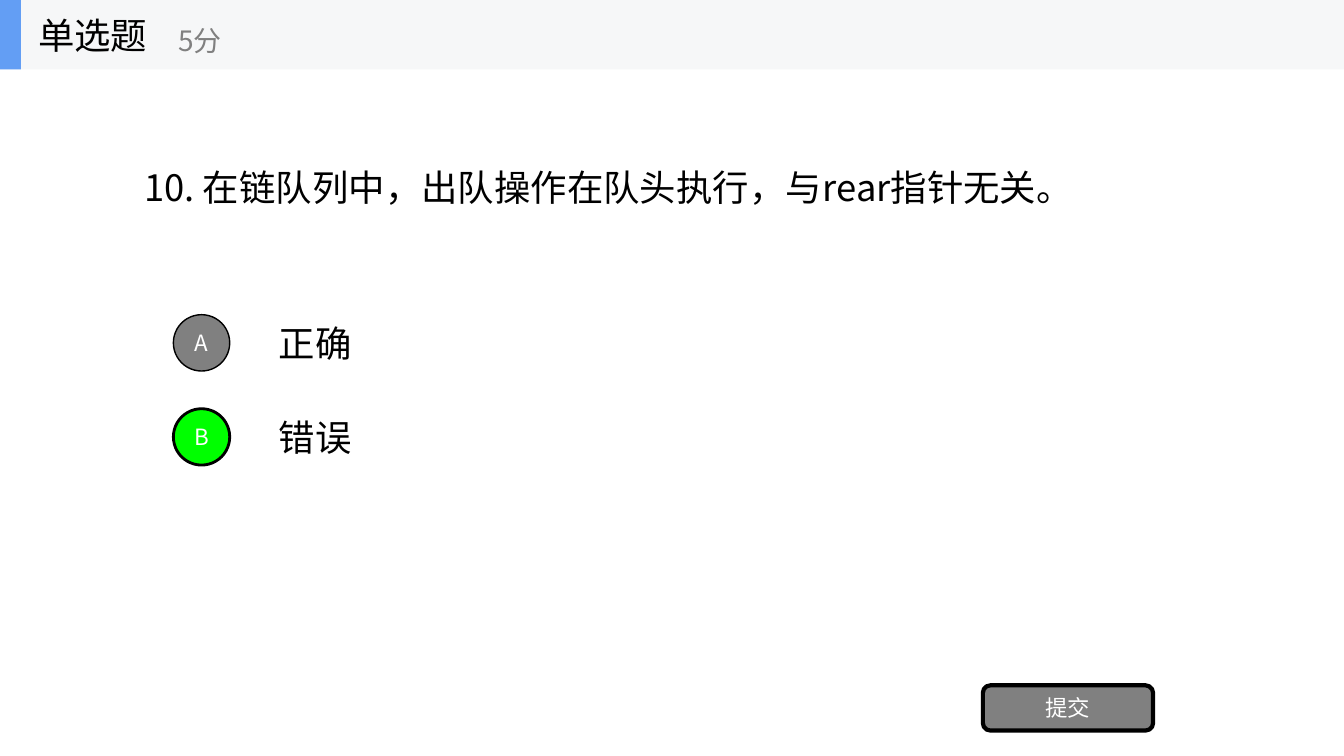
import pptx
import pptx.dml.color
import pptx.enum.shapes
import pptx.enum.text
import pptx.oxml.ns
import pptx.util
from lxml import etree

Cm = pptx.util.Cm
Pt = pptx.util.Pt
Shapes = pptx.enum.shapes.MSO_SHAPE
Align = pptx.enum.text.PP_ALIGN

BLACK, WHITE, GRAY = "000000", "FFFFFF", "808080"
GREEN, BLUE, PALE = "00FF00", "639EF4", "F6F7F8"


def color(hex_value):
    return pptx.dml.color.RGBColor.from_string(hex_value)


class QuizSlide:
    font_name = "Noto Sans CJK SC"

    def __init__(self, presentation):
        self.slide = presentation.slides.add_slide(presentation.slide_layouts[5])

    def set_text(self, shape, text, size, text_color, align=Align.LEFT):
        frame = shape.text_frame
        frame.text = text
        frame.word_wrap = True
        frame.auto_size = pptx.enum.text.MSO_AUTO_SIZE.NONE
        frame.vertical_anchor = pptx.enum.text.MSO_ANCHOR.MIDDLE
        paragraph = frame.paragraphs[0]
        paragraph.alignment = align
        for run in paragraph.runs:
            run.font.size = Pt(size)
            run.font.color.rgb = color(text_color)
            run.font.name = self.font_name
            properties = run._r.get_or_add_rPr()
            east_asian = etree.SubElement(properties, pptx.oxml.ns.qn("a:ea"))
            east_asian.set("typeface", self.font_name)

    def title(self, text, left, top, width, height, size=26):
        title = self.slide.shapes.title
        title.left, title.top = Cm(left), Cm(top)
        title.width, title.height = Cm(width), Cm(height)
        self.set_text(title, text, size, BLACK)

    def label(self, text, left, top, width, height, size=26, text_color=BLACK):
        box = self.slide.shapes.add_textbox(Cm(left), Cm(top), Cm(width), Cm(height))
        self.set_text(box, text, size, text_color)

    def block(self, kind, left, top, width, height, fill):
        shape = self.slide.shapes.add_shape(kind, Cm(left), Cm(top), Cm(width), Cm(height))
        shape.shadow.inherit = False
        shape.fill.solid()
        shape.fill.fore_color.rgb = color(fill)
        shape.line.fill.background()
        return shape

    def button(self, kind, text, left, top, width, height, fill, line_width):
        shape = self.block(kind, left, top, width, height, fill)
        shape.line.color.rgb = color(BLACK)
        shape.line.width = Pt(line_width)
        frame = shape.text_frame
        frame.margin_left = frame.margin_right = 0
        frame.margin_top = frame.margin_bottom = 0
        self.set_text(shape, text, 16, WHITE, Align.CENTER)


def main():
    presentation = pptx.Presentation()
    presentation.slide_width = Cm(33.87)
    presentation.slide_height = Cm(19.05)
    quiz = QuizSlide(presentation)

    quiz.title("10. 在链队列中，出队操作在队头执行，与rear指针无关。", 3.38, 1.75, 27.1, 5.94)

    options = [("A", "正确", GRAY, 1), ("B", "错误", GREEN, 2)]
    for index, (letter, answer, fill, line_width) in enumerate(options):
        top = 7.75 + 2.37 * index
        quiz.label(answer, 6.78, top, 23.7, 1.78)
        quiz.button(Shapes.OVAL, letter, 4.37, top + 0.18, 1.42, 1.42, fill, line_width)

    quiz.button(Shapes.ROUNDED_RECTANGLE, "提交", 24.77, 17.27, 4.29, 1.14, GRAY, 3)

    header_height = 1.75
    quiz.block(Shapes.RECTANGLE, 0, 0, 33.87, header_height, PALE)
    quiz.block(Shapes.RECTANGLE, 0, 0, 0.53, header_height, BLUE)
    quiz.label("单选题", 0.71, 0, 5.28, header_height)
    quiz.label("5分", 4.24, 0.3, 6.35, 1.42, 20, GRAY)

    presentation.save("out.pptx")


if __name__ == "__main__":
    main()
